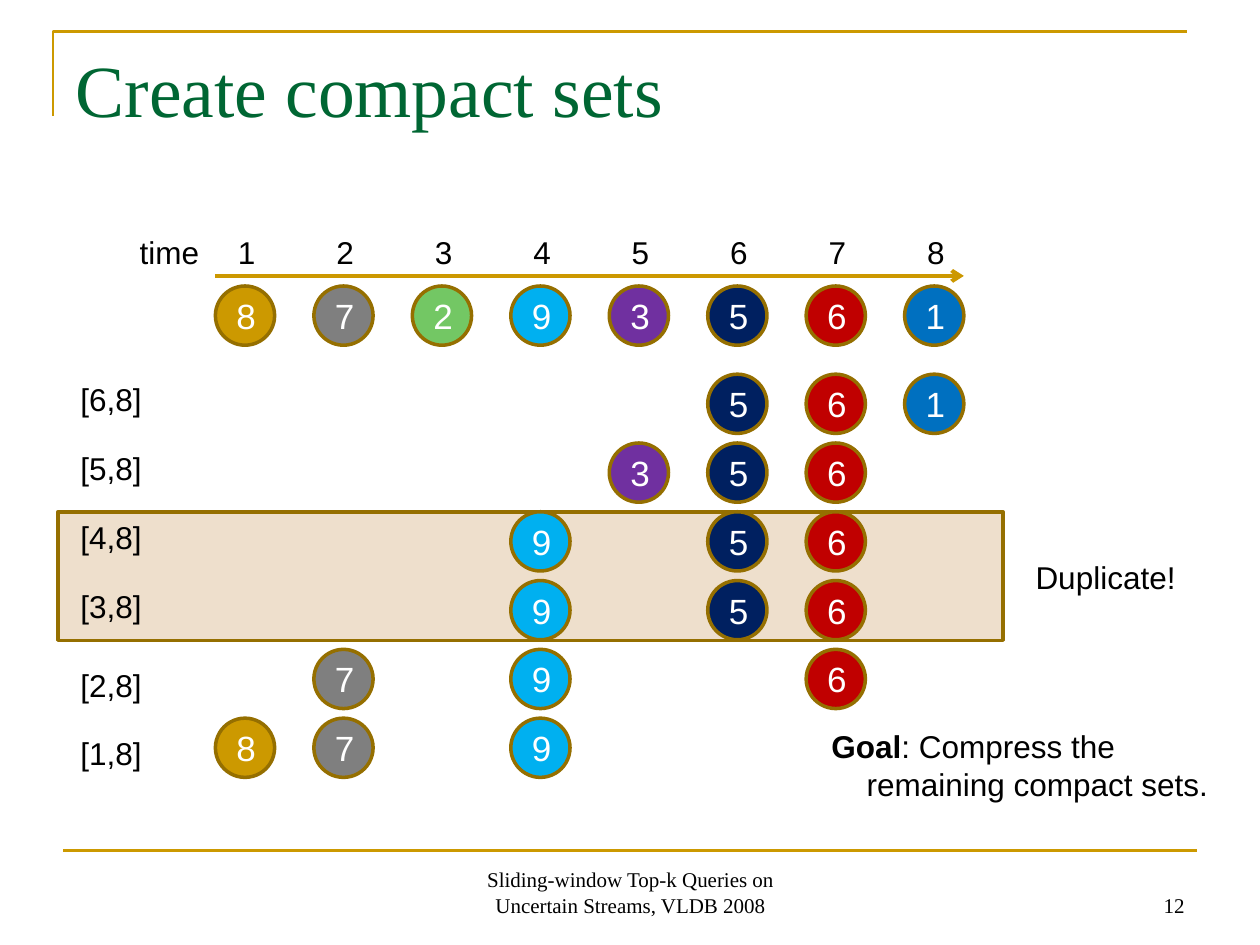
from lxml import etree
from pptx import Presentation, util as u
from pptx.dml.color import RGBColor
from pptx.enum import shapes, text
from pptx.oxml import ns

theme = {
    "title": ({"size": u.Pt(42), "name": "Times New Roman"}, "006633"),
    "footer": ({"size": u.Pt(12), "name": "Times New Roman"}, "000000"),
    "label": ({"size": u.Pt(18), "name": "Arial", "bold": False}, "000000"),
    "strong": ({"size": u.Pt(18), "name": "Arial", "bold": True}, "000000"),
    "ball": ({"size": u.Pt(20), "name": "Arial"}, "FFFFFF"),
    "frame": "CC9900",
    "arrow": "CC9800",
    "outline": "956F00",
    "highlight": "EEDFCC",
    "balls": {8: "CC9900", 7: "7F7F7F", 2: "73C764", 9: "00B0F0",
              3: "7030A0", 5: "002060", 6: "C00000", 1: "0070C0"},
}

presentation = Presentation()
presentation.slide_width, presentation.slide_height = u.Inches(10), u.Inches(7.5)
slide = presentation.slides.add_slide(presentation.slide_layouts[5])

stream = [8, 7, 2, 9, 3, 5, 6, 1]
compact_sets = [("[6,8]", [5, 6, 1]), ("[5,8]", [3, 5, 6]), ("[4,8]", [9, 5, 6]),
                ("[3,8]", [9, 5, 6]), ("[2,8]", [7, 9, 6]), ("[1,8]", [8, 7, 9])]
left, diameter = 1.71, 0.47
columns = [left + 5.47 / 7 * index for index in range(len(stream))]
stream_top = 2.27
rows = [2.97 + 2.73 / 5 * index for index in range(len(compact_sets))]


def write(paragraph, wording, style):
    run = paragraph.add_run()
    run.text = wording
    values, color = theme[style]
    for name, value in values.items():
        setattr(run.font, name, value)
    run.font.color.rgb = RGBColor.from_string(color)


def add_label(wording, place, style="label", **values):
    box = slide.shapes.add_textbox(*map(u.Inches, place))
    label_format = {"word_wrap": False,
                    "auto_size": text.MSO_AUTO_SIZE.SHAPE_TO_FIT_TEXT, **values}
    for name, value in label_format.items():
        setattr(box.text_frame, name, value)
    write(box.text_frame.paragraphs[0], wording, style)
    return box.text_frame


title = slide.shapes.title
title.left, title.top, title.width, title.height = map(u.Inches, (0.5, 0.3, 9, 1.25))
title_format = {"vertical_anchor": text.MSO_ANCHOR.TOP, "word_wrap": True,
                "auto_size": text.MSO_AUTO_SIZE.NONE}
for name, value in title_format.items():
    setattr(title.text_frame, name, value)
title.text_frame.paragraphs[0].alignment = text.PP_ALIGN.LEFT
write(title.text_frame.paragraphs[0], "Create compact sets", "title")

builder = slide.shapes.build_freeform(u.Inches(0.42), u.Inches(0.92))
builder.add_line_segments([(u.Inches(0.42), u.Inches(0.25)),
                           (u.Inches(9.42), u.Inches(0.25))], close=False)
corner = builder.convert_to_shape()
corner.shadow.inherit = False
corner.fill.background()
corner.line.color.rgb = RGBColor.from_string(theme["frame"])
corner.line.width = u.Pt(1.5)

for start, end, y, color, weight in [(0.5, 9.5, 6.75, "frame", 1.5),
                                     (left, columns[-1] + diameter, 2.19, "arrow", 2.25)]:
    line = slide.shapes.add_connector(shapes.MSO_CONNECTOR.STRAIGHT,
                                      *map(u.Inches, (start, y, end, y)))
    line.line.color.rgb = RGBColor.from_string(theme[color])
    line.line.width = u.Pt(weight)
    if color == "arrow":
        etree.SubElement(line.line._get_or_add_ln(), ns.qn("a:tailEnd"), type="arrow")
    etree.SubElement(line._element.spPr, ns.qn("a:effectLst"))

for wording, place, alignment in [
        ("Sliding-window Top-k Queries on Uncertain Streams, VLDB 2008",
         (3.42, 6.83, 3.17, 0.5), text.PP_ALIGN.CENTER),
        ("12", (7.17, 6.83, 2.33, 0.5), text.PP_ALIGN.RIGHT)]:
    frame = add_label(wording, place, "footer", word_wrap=True,
                      auto_size=text.MSO_AUTO_SIZE.NONE,
                      vertical_anchor=text.MSO_ANCHOR.BOTTOM)
    frame.paragraphs[0].alignment = alignment

duplicate = slide.shapes.add_shape(shapes.MSO_SHAPE.RECTANGLE,
                                   *map(u.Inches, (0.46, rows[2], 7.5, 1.02)))
duplicate.shadow.inherit = False
duplicate.fill.solid()
duplicate.fill.fore_color.rgb = RGBColor.from_string(theme["highlight"])
duplicate.line.color.rgb = RGBColor.from_string(theme["outline"])
duplicate.line.width = u.Pt(2)

add_label("time", (1.01, 1.8, 0.67, 0.4))
for moment, x in enumerate(columns, 1):
    add_label(str(moment), (x + 0.08, 1.8, 0.34, 0.4))

balls = [(score, stream_top) for score in stream]
for (window, scores), y in zip(compact_sets, rows):
    drop = 0.08 if y >= rows[4] else 0
    add_label(window, (0.54, y + drop, 0.7, 0.4))
    balls += [(score, y) for score in scores]

for score, y in balls:
    x = columns[stream.index(score)]
    ball = slide.shapes.add_shape(shapes.MSO_SHAPE.OVAL,
                                  *map(u.Inches, (x, y, diameter, diameter)))
    ball.shadow.inherit = False
    ball.fill.solid()
    ball.fill.fore_color.rgb = RGBColor.from_string(theme["balls"][score])
    ball.line.color.rgb = RGBColor.from_string(theme["outline"])
    ball.line.width = u.Pt(2)
    ball.text_frame.vertical_anchor = text.MSO_ANCHOR.MIDDLE
    ball.text_frame.paragraphs[0].alignment = text.PP_ALIGN.CENTER
    write(ball.text_frame.paragraphs[0], str(score), "ball")

add_label("Duplicate!", (8.12, 4.38, 1.31, 0.4))
goal = add_label("Goal", (6.5, 5.72, 3.19, 0.7), "strong")
write(goal.paragraphs[0], ": Compress the", "label")
continuation = goal.add_paragraph()
continuation._p.get_or_add_pPr().set("marL", str(u.Inches(0.28)))
write(continuation, "remaining compact sets.", "label")

presentation.save("out.pptx")
